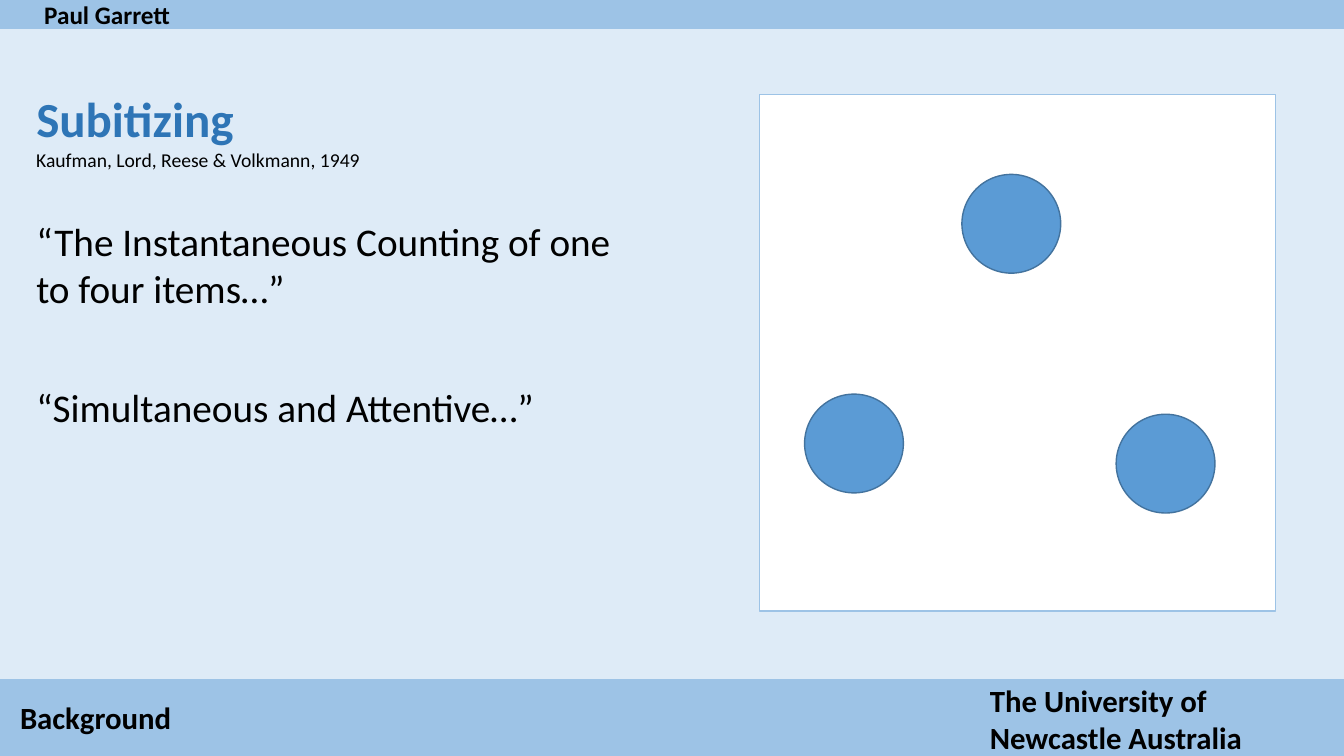
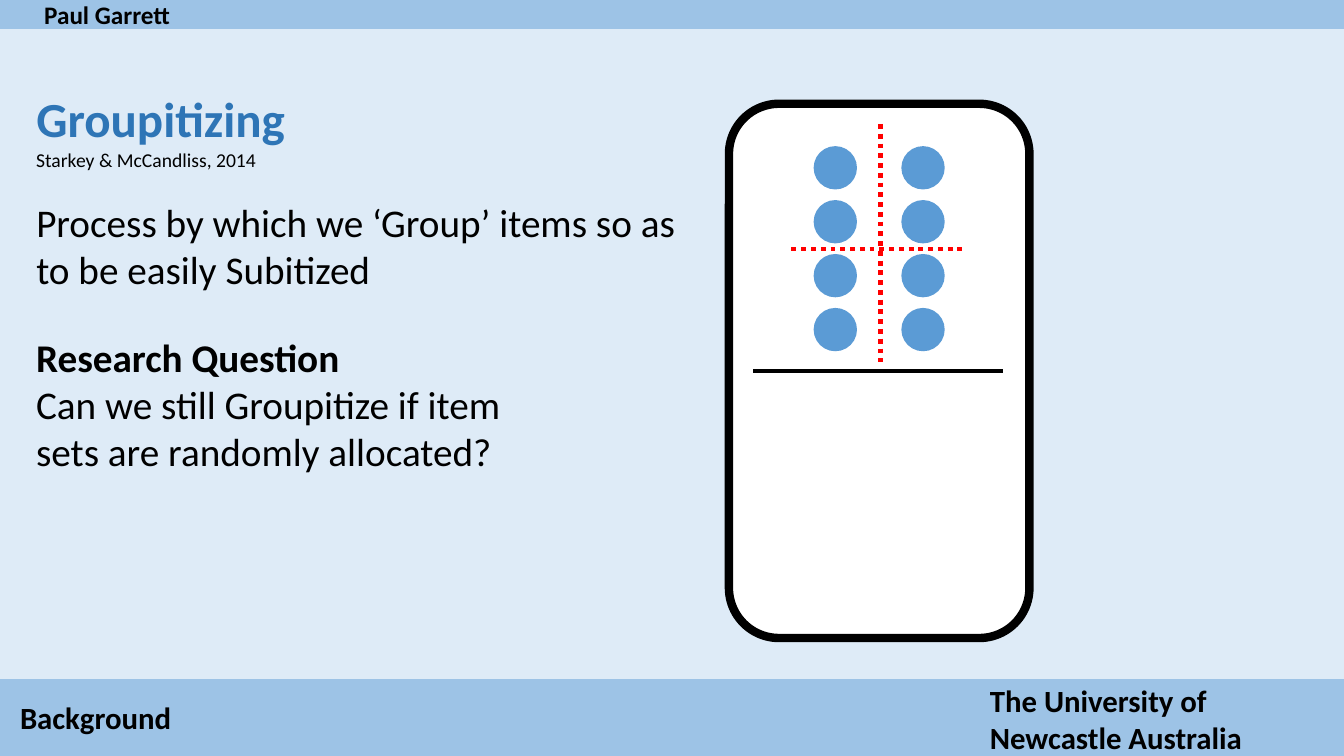
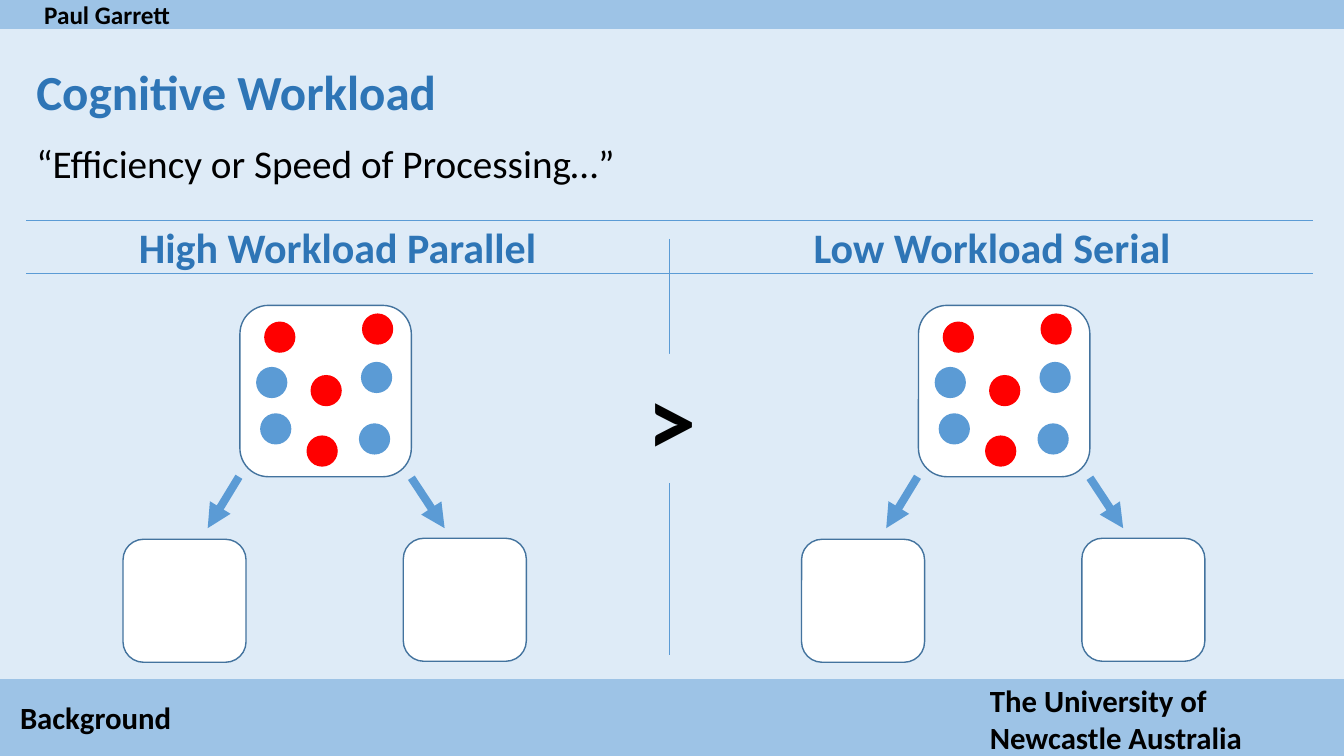
from dataclasses import dataclass
from itertools import product

from pptx import Presentation
from pptx.dml.color import RGBColor
from pptx.enum.dml import MSO_LINE
from pptx.enum.shapes import MSO_CONNECTOR as Connector, MSO_SHAPE as Preset
from pptx.enum.text import MSO_ANCHOR, MSO_AUTO_SIZE, PP_ALIGN
from pptx.oxml.xmlchemy import OxmlElement
from pptx.shapes.base import BaseShape
from pptx.slide import Slide
from pptx.util import Inches, Pt


@dataclass(frozen=True)
class Theme:
    font: str = "Calibri"
    background: str = "DEEBF7"
    band: str = "9DC3E6"
    heading: str = "2E75B6"
    dot: str = "5B9BD5"
    outline: str = "43739E"
    red: str = "FF0000"
    white: str = "FFFFFF"
    black: str = "000000"
    title_size: float = 35
    heading_size: float = 30
    body_size: float = 28
    footer_size: float = 22
    author_size: float = 18
    citation_size: float = 14
    comparison_size: float = 70


THEME = Theme()


@dataclass(frozen=True)
class Box:
    left: float
    top: float
    width: float
    height: float


@dataclass(frozen=True)
class Line:
    text: str
    size: float = THEME.body_size
    color: str = THEME.black
    bold: bool = False
    space_before: float = 0


@dataclass(frozen=True)
class Dot:
    left: float
    top: float
    color: str = THEME.dot


@dataclass(frozen=True)
class Label:
    box: Box
    lines: tuple[Line, ...]


@dataclass(frozen=True)
class Arrow:
    start: tuple[float, float]
    end: tuple[float, float]


BANDS = (Box(0, 6.74, 13.33, 0.76), Box(0, 0, 13.33, 0.28))
BAND_LABELS = (
    Label(Box(9.72, 6.71, 2.73, 0.84), (
        Line("The University of", THEME.footer_size, bold=True),
        Line("Newcastle Australia", THEME.footer_size, bold=True),
    )),
    Label(Box(0.34, -0.06, 1.47, 0.4), (Line("Paul Garrett", THEME.author_size, bold=True),)),
    Label(Box(0.1, 6.88, 1.72, 0.47), (Line("Background", THEME.footer_size, bold=True),)),
)
HEADINGS = (
    Label(Box(1.28, 2.15, 4.18, 0.61),
          (Line("High Workload Parallel", THEME.heading_size, THEME.heading, True),)),
    Label(Box(7.97, 2.15, 3.79, 0.61),
          (Line("Low Workload Serial", THEME.heading_size, THEME.heading, True),)),
)
SUBITIZING_DOTS = (Dot(9.54, 1.73), Dot(11.07, 4.11), Dot(7.98, 3.91))
PANEL_DOTS = (
    Dot(3.04, 4.32, THEME.red), Dot(3.58, 3.59), Dot(3.56, 4.2), Dot(2.58, 4.1),
    Dot(3.59, 3.11, THEME.red), Dot(2.54, 3.64), Dot(2.62, 3.19, THEME.red),
    Dot(3.08, 3.72, THEME.red),
)
PANEL_ARROWS = (Arrow((2.37, 4.73), (2.06, 5.24)), Arrow((4.08, 4.74), (4.41, 5.24)))
PANEL_CARDS = (Box(2.38, 3.03, 1.7, 1.7), Box(4, 5.34, 1.22, 1.22), Box(1.22, 5.35, 1.22, 1.22))
PANEL_PITCH = 6.73


def place(shape: BaseShape, box: Box) -> None:
    shape.left, shape.top = Inches(box.left), Inches(box.top)
    shape.width, shape.height = Inches(box.width), Inches(box.height)


def write(shape: BaseShape, lines: tuple[Line, ...], wrap: bool = True) -> None:
    frame = shape.text_frame
    frame.word_wrap = wrap
    frame.auto_size = MSO_AUTO_SIZE.NONE
    frame.vertical_anchor = MSO_ANCHOR.TOP
    for index, line in enumerate(lines):
        paragraph = frame.add_paragraph() if index else frame.paragraphs[0]
        paragraph.alignment = PP_ALIGN.LEFT
        paragraph.line_spacing = 1.0
        paragraph.space_before = Pt(line.space_before)
        run = paragraph.add_run()
        run.text = line.text
        run.font.name = THEME.font
        run.font.size = Pt(line.size)
        run.font.bold = line.bold
        run.font.color.rgb = RGBColor.from_string(line.color)


def add_text(slide: Slide, label: Label, wrap: bool = False, fill: str | None = None) -> None:
    box = label.box
    shape = slide.shapes.add_textbox(
        Inches(box.left), Inches(box.top), Inches(box.width), Inches(box.height))
    if fill:
        shape.fill.solid()
        shape.fill.fore_color.rgb = RGBColor.from_string(fill)
    write(shape, label.lines, wrap)


def add_figure(slide: Slide, preset: Preset, box: Box, fill: str,
               outline: str | None = None, weight: float = 1) -> None:
    shape = slide.shapes.add_shape(
        preset, Inches(box.left), Inches(box.top), Inches(box.width), Inches(box.height))
    shape.shadow.inherit = False
    shape.fill.solid()
    shape.fill.fore_color.rgb = RGBColor.from_string(fill)
    if outline:
        shape.line.color.rgb = RGBColor.from_string(outline)
        shape.line.width = Pt(weight)
    else:
        shape.line.fill.background()


def add_dot(slide: Slide, dot: Dot, diameter: float, outline: str | None = None) -> None:
    add_figure(slide, Preset.OVAL, Box(dot.left, dot.top, diameter, diameter), dot.color, outline)


def add_line(slide: Slide, start: tuple[float, float], end: tuple[float, float], color: str,
             weight: float, dotted: bool = False, arrow: bool = False) -> None:
    connector = slide.shapes.add_connector(
        Connector.STRAIGHT, *(Inches(value) for value in (*start, *end)))
    connector.line.color.rgb = RGBColor.from_string(color)
    connector.line.width = Pt(weight)
    if dotted:
        connector.line.dash_style = MSO_LINE.ROUND_DOT
    if arrow:
        arrowhead = OxmlElement("a:tailEnd")
        arrowhead.set("type", "triangle")
        connector.line._get_or_add_ln().append(arrowhead)
    connector._element.spPr.append(OxmlElement("a:effectLst"))


def add_slide(presentation: Presentation, title: str, title_top: float, body_box: Box,
              body_lines: tuple[Line, ...], citation: str | None = None) -> Slide:
    slide = presentation.slides.add_slide(presentation.slide_layouts[1])
    place(slide.shapes.title, Box(0.26, title_top, 6.21, 0.69))
    write(slide.shapes.title, (Line(title, THEME.title_size, THEME.heading, True),))
    body = slide.placeholders[1]
    place(body, body_box)
    write(body, body_lines)
    for paragraph in body.text_frame.paragraphs:
        properties = paragraph._p.get_or_add_pPr()
        properties.set("marL", "0")
        properties.set("indent", "0")
        properties.append(OxmlElement("a:buNone"))
    for band in BANDS:
        add_figure(slide, Preset.RECTANGLE, band, THEME.band, THEME.band)
    for label in BAND_LABELS:
        add_text(slide, label)
    if citation:
        add_text(slide, Label(Box(0.26, 1.42, 6.21, 0.34),
                              (Line(citation, THEME.citation_size),)), wrap=True)
    return slide


def build_subitizing(presentation: Presentation) -> None:
    slide = add_slide(
        presentation, "Subitizing", 0.83, Box(0.26, 2.11, 6.21, 2.22),
        (Line("“The Instantaneous Counting of one to four items…”"),
         Line("“Simultaneous and Attentive…”", space_before=51)),
        "Kaufman, Lord, Reese & Volkmann, 1949")
    add_figure(slide, Preset.RECTANGLE, Box(7.53, 0.94, 5.12, 5.12), THEME.white, THEME.band)
    for dot in SUBITIZING_DOTS:
        add_dot(slide, dot, 0.98, THEME.outline)


def build_groupitizing(presentation: Presentation) -> None:
    slide = add_slide(
        presentation, "Groupitizing", 0.83, Box(0.26, 1.92, 6.54, 1.51),
        (Line("Process by which we ‘Group’ items so as to be easily Subitized"),),
        "Starkey & McCandliss, 2014")
    add_figure(slide, Preset.ROUNDED_RECTANGLE, Box(7.23, 1.03, 2.98, 5.3),
               THEME.white, THEME.black, 6)
    add_line(slide, (7.47, 3.68), (9.95, 3.68), THEME.black, 3)
    for row, column in product(range(4), range(2)):
        add_dot(slide, Dot(8.07 + 0.87 * column, 1.45 + 0.535 * row), 0.43)
    add_line(slide, (7.85, 2.47), (9.55, 2.47), THEME.red, 3.5, dotted=True)
    add_line(slide, (8.73, 1.23), (8.73, 3.59), THEME.red, 3.5, dotted=True)
    add_text(slide, Label(Box(0.26, 3.26, 5.23, 1.51), (
        Line("Research Question", bold=True),
        Line("Can we still Groupitize if item sets are randomly allocated?"),
    )), wrap=True, fill=THEME.background)


def add_panel(slide: Slide, shift: float) -> None:
    for card in PANEL_CARDS:
        add_figure(slide, Preset.ROUNDED_RECTANGLE,
                   Box(card.left + shift, card.top, card.width, card.height),
                   THEME.white, THEME.outline)
    for arrow in PANEL_ARROWS:
        start, end = ((x + shift, y) for x, y in (arrow.start, arrow.end))
        add_line(slide, start, end, THEME.dot, 5.75, arrow=True)
    for dot in PANEL_DOTS:
        add_dot(slide, Dot(dot.left + shift, dot.top, dot.color), 0.31)


def build_workload(presentation: Presentation) -> None:
    slide = add_slide(
        presentation, "Cognitive Workload", 0.56, Box(0.26, 1.33, 6.21, 0.57),
        (Line("“Efficiency or Speed of Processing…”"),))
    for rule_top in (2.19, 2.71):
        add_line(slide, (0.26, rule_top), (13.02, rule_top), THEME.dot, 0.5)
    add_line(slide, (6.64, 2.37), (6.64, 6.5), THEME.dot, 0.5)
    for heading in HEADINGS:
        add_text(slide, heading)
    for index in range(len(HEADINGS)):
        add_panel(slide, index * PANEL_PITCH)
    add_text(slide, Label(Box(6.32, 3.51, 0.69, 1.28),
                          (Line(">", THEME.comparison_size, bold=True),)),
             fill=THEME.background)


def main() -> None:
    presentation = Presentation()
    presentation.slide_width, presentation.slide_height = Inches(13.33), Inches(7.5)
    background = presentation.slide_master.background.fill
    background.solid()
    background.fore_color.rgb = RGBColor.from_string(THEME.background)
    build_subitizing(presentation)
    build_groupitizing(presentation)
    build_workload(presentation)
    presentation.save("out.pptx")


if __name__ == "__main__":
    main()
